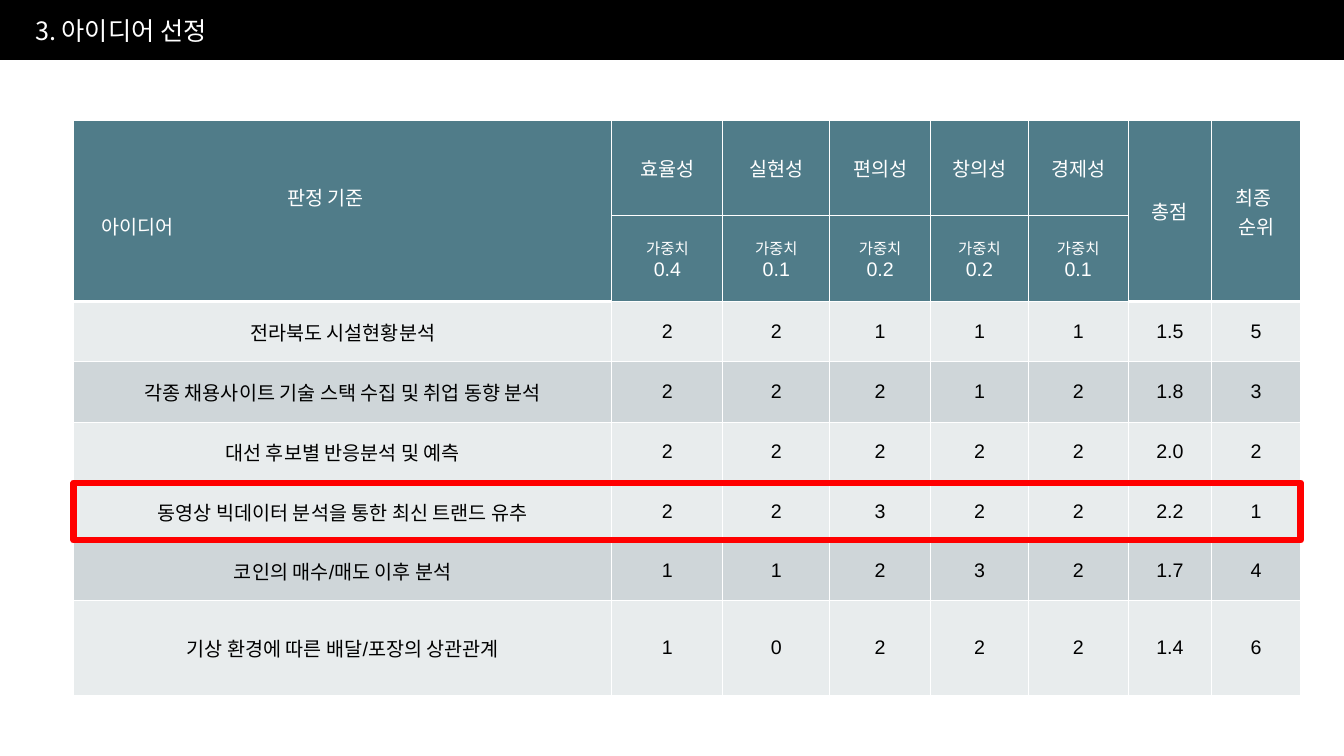
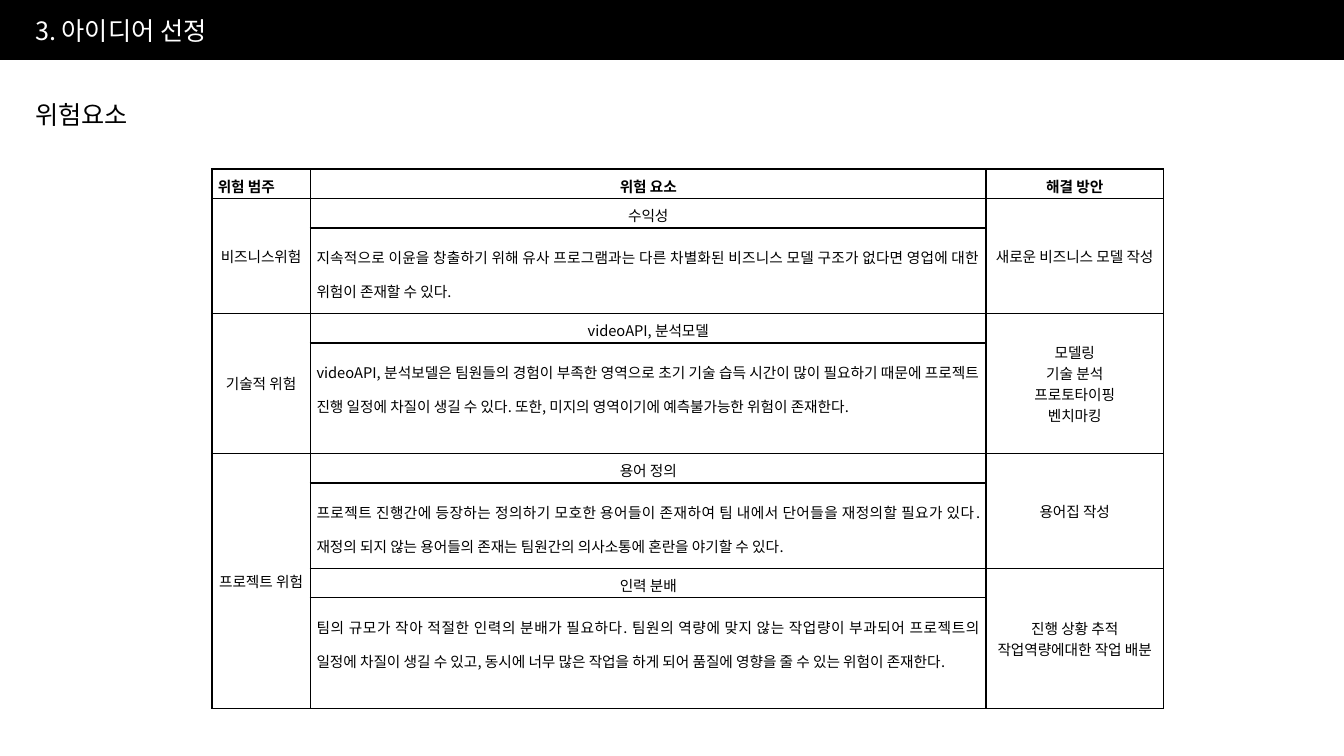
import pptx
import pptx.dml.color
import pptx.enum.shapes
import pptx.enum.text
import pptx.oxml.ns
import pptx.util
from lxml import etree

Inches, Pt = pptx.util.Inches, pptx.util.Pt
RGBColor = pptx.dml.color.RGBColor
ALIGN = pptx.enum.text.PP_ALIGN
ANCHOR = pptx.enum.text.MSO_ANCHOR
RECTANGLE = pptx.enum.shapes.MSO_SHAPE.RECTANGLE
qn = pptx.oxml.ns.qn

BLACK = RGBColor(0x00, 0x00, 0x00)
WHITE = RGBColor(0xFF, 0xFF, 0xFF)
TEAL = RGBColor(0x50, 0x7C, 0x89)
LIGHT_ROW = RGBColor(0xE8, 0xEC, 0xED)
DARK_ROW = RGBColor(0xCF, 0xD6, 0xD9)
RED = RGBColor(0xFF, 0x00, 0x00)
KOREAN_FONT = "Noto Sans CJK KR"
NUMBER_FONT = "Arial"

SLIDE_WIDTH, SLIDE_HEIGHT, BAND_HEIGHT = 13.33, 7.5, 0.6
TITLE = "3. 아이디어 선정"

# Slide 1: scores of the ideas
CORNER = [("판정 기준", 2.05), ("아이디어", 0.21)]  # text and left indent
CRITERIA = [("효율성", "0.4"), ("실현성", "0.1"), ("편의성", "0.2"),
            ("창의성", "0.2"), ("경제성", "0.1")]
RESULT_HEADS = [["총점"], ["최종 ", "순위"]]
IDEAS = [
    ("전라북도 시설현황분석", "2 2 1 1 1 1.5 5", LIGHT_ROW),
    ("각종 채용사이트 기술 스택 수집 및 취업 동향 분석", "2 2 2 1 2 1.8 3", DARK_ROW),
    ("대선 후보별 반응분석 및 예측", "2 2 2 2 2 2.0 2", LIGHT_ROW),
    ("동영상 빅데이터 분석을 통한 최신 트랜드 유추", "2 2 3 2 2 2.2 1", LIGHT_ROW),
    ("코인의 매수/매도 이후 분석", "1 1 2 3 2 1.7 4", DARK_ROW),
    ("기상 환경에 따른 배달/포장의 상관관계", "1 0 2 2 2 1.4 6", LIGHT_ROW),
]
SCORE_COLUMNS = [5.34, 1.1, 1.06, 1, 0.97, 0.99, 0.83, 0.88]
SCORE_ROWS = [0.94, 0.85, 0.6, 0.6, 0.59, 0.59, 0.59, 0.94]
SCORE_MARGINS = (0.07, 0.03, 0.07, 0.03)

# Slide 2: risks, as category -> (name, description, remedies, description height)
RISK_TITLE = "위험요소"
RISK_HEADS = [("위험 범주", ALIGN.JUSTIFY), ("위험 요소", ALIGN.CENTER),
              ("해결 방안", ALIGN.CENTER)]
RISKS = {
    "비즈니스위험": [
        ("수익성",
         "지속적으로 이윤을 창출하기 위해 유사 프로그램과는 다른 차별화된 비즈니스 모델 구조가 "
         "없다면 영업에 대한 위험이 존재할 수 있다.",
         ["새로운 비즈니스 모델 작성"], 0.85)],
    "기술적 위험": [
        ("videoAPI, 분석모델",
         "videoAPI, 분석보델은 팀원들의 경험이 부족한 영역으로 초기 기술 습득 시간이 많이 "
         "필요하기 때문에 프로젝트 진행 일정에 차질이 생길 수 있다. 또한, 미지의 영역이기에 "
         "예측불가능한 위험이 존재한다.",
         ["모델링", "기술 분석", "프로토타이핑", "벤치마킹"], 1.1)],
    "프로젝트 위험": [
        ("용어 정의",
         "프로젝트 진행간에 등장하는 정의하기 모호한 용어들이 존재하여 팀 내에서 단어들을 "
         "재정의할 필요가 있다. 재정의 되지 않는 용어들의 존재는 팀원간의 의사소통에 혼란을 "
         "야기할 수 있다.",
         ["용어집 작성"], 0.85),
        ("인력 분배",
         "팀의 규모가 작아 적절한 인력의 분배가 필요하다. 팀원의 역량에 맞지 않는 작업량이 "
         "부과되어 프로젝트의 일정에 차질이 생길 수 있고, 동시에 너무 많은 작업을 하게 되어 "
         "품질에 영향을 줄 수 있는 위험이 존재한다.",
         ["진행 상황 추적", "작업역량에대한 작업 배분"], 1.1)],
}
RISK_COLUMNS = [0.98, 6.7, 1.76]
RISK_NAME_HEIGHT = 0.29
RISK_TOP_MARGINS = (0.06, 0.06, 0.06, 0.02)
RISK_MIDDLE_MARGINS = (0.06, 0.06, 0.06, 0.06)


def write(frame, lines, size, color, font=KOREAN_FONT, align=None,
          bold=False, spacing=None):
    """Write one paragraph per line; size is one value or one per line."""
    sizes = size if isinstance(size, list) else [size] * len(lines)
    for index, (line, points) in enumerate(zip(lines, sizes)):
        para = frame.add_paragraph() if index else frame.paragraphs[0]
        para.alignment = align
        if spacing:
            para.line_spacing = spacing
        span = para.add_run()
        span.text = line
        span.font.size = Pt(points)
        span.font.bold = bold
        span.font.color.rgb = color
        span.font.name = font
        east_asian = etree.SubElement(span.font._element, qn("a:ea"))
        east_asian.set("typeface", KOREAN_FONT)


def add_text(page, left, top, width, text, color):
    box = page.shapes.add_textbox(Inches(left), Inches(top), Inches(width), Inches(0.4))
    box.text_frame.word_wrap = True
    box.text_frame.auto_size = pptx.enum.text.MSO_AUTO_SIZE.SHAPE_TO_FIT_TEXT
    write(box.text_frame, [text], 18, color)


def add_rectangle(page, left, top, width, height, line, points, fill=None):
    shape = page.shapes.add_shape(RECTANGLE, Inches(left), Inches(top),
                                  Inches(width), Inches(height))
    shape.shadow.inherit = False
    if fill is None:
        shape.fill.background()
    else:
        shape.fill.solid()
        shape.fill.fore_color.rgb = fill
    shape.line.color.rgb = line
    shape.line.width = Pt(points)


def add_page(deck):
    """Add a black slide with a white body and the section title in the band."""
    page = deck.slides.add_slide(deck.slide_layouts[6])
    page.background.fill.solid()
    page.background.fill.fore_color.rgb = BLACK
    add_rectangle(page, 0, BAND_HEIGHT, SLIDE_WIDTH, SLIDE_HEIGHT - BAND_HEIGHT,
                  WHITE, 1, WHITE)
    add_text(page, 0.25, 0.1, 2.48, TITLE, WHITE)
    return page


def add_table(page, left, top, columns, rows):
    table = page.shapes.add_table(len(rows), len(columns), Inches(left), Inches(top),
                                  Inches(sum(columns)), Inches(sum(rows))).table
    table.first_row = table.horz_banding = False
    for column, width in zip(table.columns, columns):
        column.width = Inches(width)
    for row, height in zip(table.rows, rows):
        row.height = Inches(height)
    return table


def style_cell(cell, fill, margins, anchor=ANCHOR.MIDDLE):
    cell.fill.solid()
    cell.fill.fore_color.rgb = fill
    cell.vertical_anchor = anchor
    (cell.margin_left, cell.margin_top,
     cell.margin_right, cell.margin_bottom) = map(Inches, margins)


def set_borders(cell, color, points, **special):
    """Draw the four borders; special gives other widths, as in B=2.4."""
    properties = cell._tc.get_or_add_tcPr()
    for index, side in enumerate("LRTB"):
        border = etree.Element(qn("a:ln" + side))
        border.set("w", str(int(Pt(special.get(side, points)))))
        fill = etree.SubElement(border, qn("a:solidFill"))
        etree.SubElement(fill, qn("a:srgbClr")).set("val", str(color))
        properties.insert(index, border)


def merge_down(table, row, column, count):
    cell = table.cell(row, column)
    cell.merge(table.cell(row + count - 1, column))
    return cell


def build_scores(deck):
    page = add_page(deck)
    left, top = 0.73, 1.2
    table = add_table(page, left, top, SCORE_COLUMNS, SCORE_ROWS)
    first_result = 1 + len(CRITERIA)
    tall_columns = [0, first_result, first_result + 1]
    fills = [TEAL, TEAL] + [fill for _, _, fill in IDEAS]
    for row, fill in enumerate(fills):
        for column in range(len(SCORE_COLUMNS)):
            cell = table.cell(row, column)
            style_cell(cell, fill, SCORE_MARGINS)
            special = {}
            if column in tall_columns and row <= 2:
                special = {"T": 2.4} if row == 2 else {"B": 2.4}
            set_borders(cell, WHITE, 0.8, **special)

    corner = merge_down(table, 0, 0, 2).text_frame
    write(corner, [text for text, _ in CORNER], 14, WHITE, NUMBER_FONT)
    for para, (_, indent) in zip(corner.paragraphs, CORNER):
        para._p.get_or_add_pPr().set("marL", str(int(Inches(indent))))
    for column, (name, weight) in enumerate(CRITERIA, 1):
        write(table.cell(0, column).text_frame, [name], 14, WHITE,
              NUMBER_FONT, ALIGN.CENTER)
        write(table.cell(1, column).text_frame, ["가중치", weight], [11, 14], WHITE,
              NUMBER_FONT, ALIGN.CENTER)
    for column, lines in enumerate(RESULT_HEADS, first_result):
        write(merge_down(table, 0, column, 2).text_frame, lines, 14, WHITE,
              NUMBER_FONT, ALIGN.CENTER)
    for row, (idea, scores, _) in enumerate(IDEAS, 2):
        for column, text in enumerate([idea] + scores.split()):
            write(table.cell(row, column).text_frame, [text], 14, BLACK,
                  NUMBER_FONT, ALIGN.CENTER)

    add_rectangle(page, left, 4.79, sum(SCORE_COLUMNS), 0.57, RED, 4.5)


def build_risks(deck):
    page = add_page(deck)
    rows = [RISK_NAME_HEIGHT]
    for risks in RISKS.values():
        for risk in risks:
            rows += [RISK_NAME_HEIGHT, risk[-1]]
    table = add_table(page, 2.1, 1.68, RISK_COLUMNS, rows)
    for row in range(len(rows)):
        for column in range(len(RISK_COLUMNS)):
            cell = table.cell(row, column)
            if row == 0 or column == 1:
                style_cell(cell, WHITE, RISK_TOP_MARGINS, ANCHOR.TOP)
            else:
                style_cell(cell, WHITE, RISK_MIDDLE_MARGINS)
            set_borders(cell, BLACK, 1.41)

    def fill_in(cell, lines, align=ALIGN.CENTER, **style):
        write(cell.text_frame, lines, 10.5, BLACK, align=align, **style)

    for column, (head, align) in enumerate(RISK_HEADS):
        fill_in(table.cell(0, column), [head], align, bold=True)
    row = 1
    for category, risks in RISKS.items():
        fill_in(merge_down(table, row, 0, 2 * len(risks)), [category])
        for name, description, remedies, _ in risks:
            fill_in(table.cell(row, 1), [name])
            fill_in(table.cell(row + 1, 1), [description], ALIGN.JUSTIFY, spacing=1.6)
            fill_in(merge_down(table, row, 2, 2), remedies)
            row += 2

    add_text(page, 0.25, 0.94, 3.69, RISK_TITLE, BLACK)


def main():
    deck = pptx.Presentation()
    deck.slide_width, deck.slide_height = Inches(SLIDE_WIDTH), Inches(SLIDE_HEIGHT)
    build_scores(deck)
    build_risks(deck)
    deck.save("out.pptx")


if __name__ == "__main__":
    main()
